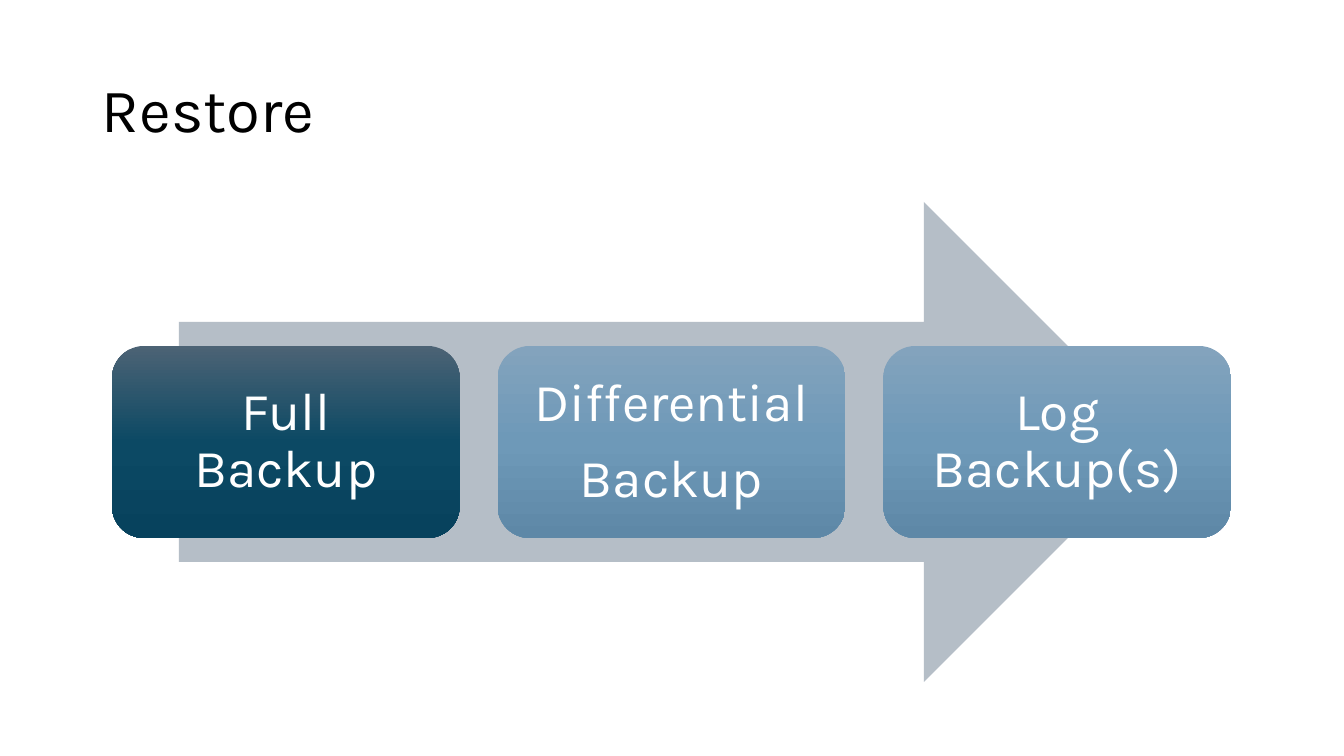
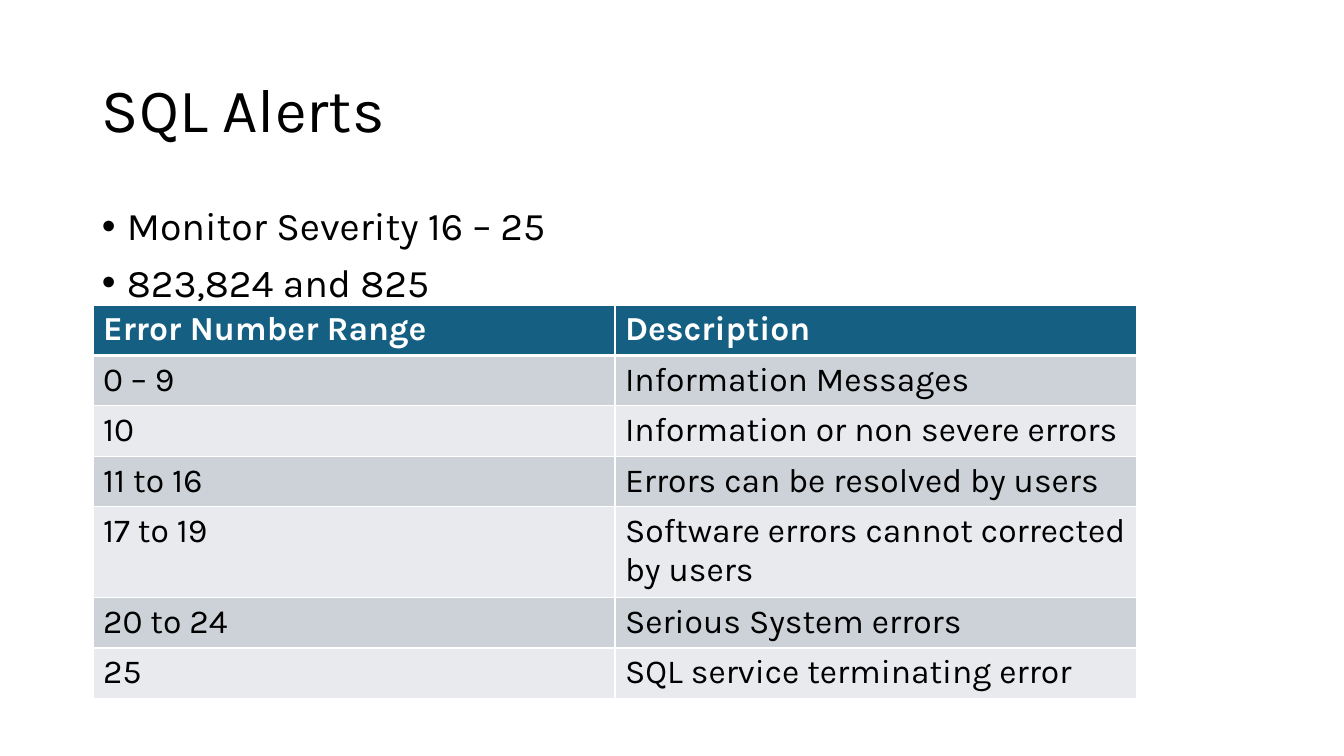
import copy

import pptx
import pptx.dml.color
import pptx.enum.shapes
import pptx.enum.text
import pptx.oxml
import pptx.oxml.ns
import pptx.util
from lxml import etree

PX = 914400 / 100.8
SLIDE_W, SLIDE_H = 1344, 756
FONT = "Karla"
COLORS = {
    "text": "000000",
    "white": "FFFFFF",
    "arrow": "B5BEC7",
    "header": "156082",
    "band_dark": "CCD2D8",
    "band_light": "E8EAED",
}
GRADIENTS = {
    "current": ("4C6375", "0C4964", "07425D"),
    "next": ("83A3BD", "6E99B8", "5E88A7"),
}
TITLE_BOX = (92, 40, 1159, 146)
BODY_BOX = (92, 202, 1159, 480)
TABLE_BOX = (93, 305, 1044, 382)

ALIGN = pptx.enum.text.PP_ALIGN
ANCHOR = pptx.enum.text.MSO_ANCHOR
SHAPE = pptx.enum.shapes.MSO_SHAPE
qn = pptx.oxml.ns.qn

BACKUPS = [
    (["Full Backup"], "current"),
    (["Differential", "Backup"], "next"),
    (["Log Backup(s)"], "next"),
]
ALERTS = ["Monitor Severity 16 – 25", "823,824 and 825"]
ERROR_ROWS = [
    ("Error Number Range", "Description"),
    ("0 – 9", "Information Messages"),
    ("10", "Information or non severe errors"),
    ("11 to 16", "Errors can be resolved by users"),
    ("17 to 19", "Software errors cannot corrected by users"),
    ("20 to 24", "Serious System errors"),
    ("25", "SQL service terminating error"),
]
ROW_H, TALL_ROW_H, TALL_ROW = 49, 88, 4


def emu(px):
    return pptx.util.Emu(round(px * PX))


def place(box):
    return [emu(v) for v in box]


def rgb(value):
    return pptx.dml.color.RGBColor.from_string(value)


def write(tf, lines, size, color="text", bold=False, align=ALIGN.LEFT,
          anchor=ANCHOR.TOP, spacing=0.9, before=0, after=0, bullet=None):
    """Fill a text frame with one paragraph per line."""
    tf.word_wrap = True
    tf.vertical_anchor = anchor
    for i, line in enumerate(lines):
        p = tf.add_paragraph() if i else tf.paragraphs[0]
        if bullet:
            pPr = p._p.get_or_add_pPr()
            pPr.set("marL", str(emu(25)))
            pPr.set("indent", str(-emu(25)))
            etree.SubElement(pPr, qn("a:buFont"), typeface="Arial")
            etree.SubElement(pPr, qn("a:buChar"), char=bullet)
        p.alignment = align
        p.line_spacing = spacing
        p.space_before = pptx.util.Pt(before if i else 0)
        p.space_after = pptx.util.Pt(after)
        r = p.add_run()
        r.text = line
        r.font.name = FONT
        r.font.size = pptx.util.Pt(size)
        r.font.bold = bold
        r.font.color.rgb = rgb(COLORS[color])


def add_text(s, box, lines, **style):
    write(s.shapes.add_textbox(*place(box)).text_frame, lines, **style)


def add_shape(s, kind, box):
    sp = s.shapes.add_shape(kind, *place(box))
    sp.shadow.inherit = False
    sp.line.fill.background()
    return sp


def fill_gradient(sp, colors):
    """Blend three colours evenly from top to bottom."""
    sp.fill.gradient()
    sp.fill.gradient_angle = 270
    stops = sp._element.spPr.find(".//" + qn("a:gsLst"))
    stops.insert(1, copy.deepcopy(stops[0]))
    for i, (stop, color) in enumerate(zip(sp.fill.gradient_stops, colors)):
        stop.position = i / 2
        stop.color.rgb = rgb(color)


def add_slide(prs, title):
    s = prs.slides.add_slide(prs.slide_layouts[6])
    add_text(s, TITLE_BOX, [title], size=44, anchor=ANCHOR.MIDDLE)
    return s


def add_process(s, box, steps):
    """Equal step boxes across a wide arrow."""
    left, top, width, height = box
    margin, gap, inset = 20, 38, 26
    arrow_w = round(width * 0.85)
    arrow = add_shape(s, SHAPE.RIGHT_ARROW,
                      (left + (width - arrow_w) / 2, top, arrow_w, height))
    arrow.fill.solid()
    arrow.fill.fore_color.rgb = rgb(COLORS["arrow"])

    n = len(steps)
    step_w = (width - 2 * margin - (n - 1) * gap) / n
    step_h = height * 0.4
    for i, (lines, gradient) in enumerate(steps):
        x = left + margin + i * (step_w + gap)
        sp = add_shape(s, SHAPE.ROUNDED_RECTANGLE,
                       (x, top + (height - step_h) / 2, step_w, step_h))
        fill_gradient(sp, GRADIENTS[gradient])
        tf = sp.text_frame
        tf.margin_left = tf.margin_right = emu(inset)
        tf.margin_top = tf.margin_bottom = emu(inset)
        write(tf, lines, size=38, color="white", align=ALIGN.CENTER,
              anchor=ANCHOR.MIDDLE, after=13)


def set_borders(cell, **widths):
    """Draw white cell borders; widths in points by side L, R, T, B."""
    tcPr = cell._tc.get_or_add_tcPr()
    for side in "LRTB":
        ln = etree.SubElement(tcPr, qn("a:ln" + side),
                              w=str(pptx.util.Pt(widths.get(side, 1))))
        solid = etree.SubElement(ln, qn("a:solidFill"))
        etree.SubElement(solid, qn("a:srgbClr"), val=COLORS["white"])


def add_error_table(s, box, rows):
    table = s.shapes.add_table(len(rows), len(rows[0]), *place(box)).table
    for col in table.columns:
        col.width = emu(box[2] / len(rows[0]))
    for i, values in enumerate(rows):
        table.rows[i].height = emu(TALL_ROW_H if i == TALL_ROW else ROW_H)
        header = i == 0
        band = "header" if header else "band_dark" if i % 2 else "band_light"
        for j, value in enumerate(values):
            cell = table.cell(i, j)
            set_borders(cell, T=3 if i == 1 else 1, B=3 if header else 1)
            cell.fill.solid()
            cell.fill.fore_color.rgb = rgb(COLORS[band])
            write(cell.text_frame, [value], size=24, spacing=1.0, bold=header,
                  color="white" if header else "text")


def main():
    prs = pptx.Presentation()
    prs.slide_width, prs.slide_height = emu(SLIDE_W), emu(SLIDE_H)

    s = add_slide(prs, "Restore")
    add_process(s, BODY_BOX, BACKUPS)

    s = add_slide(prs, "SQL Alerts")
    add_text(s, BODY_BOX, ALERTS, size=28, before=10, bullet="•")
    add_error_table(s, TABLE_BOX, ERROR_ROWS)

    prs.save("out.pptx")


if __name__ == "__main__":
    main()
